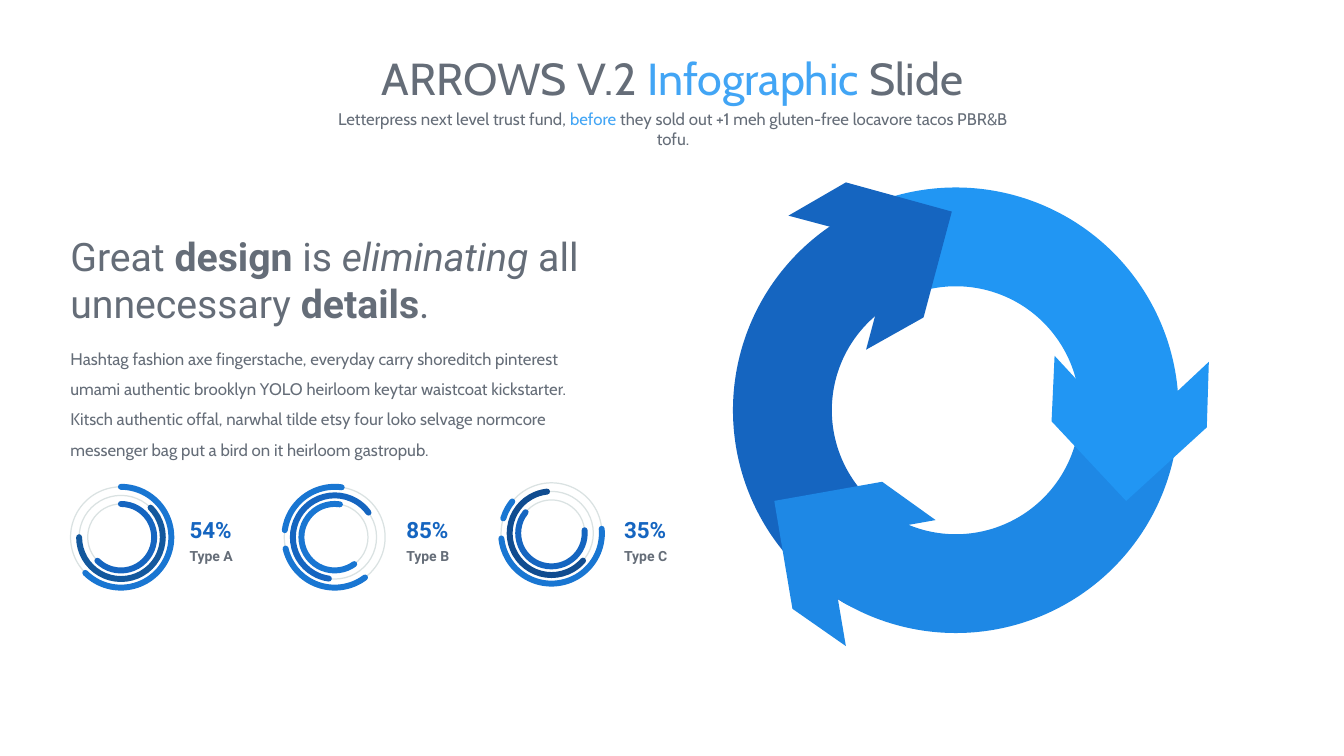
from math import cos, radians, sin

from lxml import etree
from pptx import Presentation
from pptx.dml.color import RGBColor
from pptx.enum.shapes import MSO_SHAPE
from pptx.enum.text import MSO_ANCHOR, MSO_AUTO_SIZE, PP_ALIGN
from pptx.oxml.ns import qn
from pptx.util import Inches, Pt

GRAY = RGBColor(0x65, 0x6D, 0x78)
SKY = RGBColor(0x42, 0xA5, 0xF5)
TRACK = RGBColor(0xDA, 0xE2, 0xE2)
DARK = RGBColor(0x15, 0x65, 0xC0)
MID = RGBColor(0x1E, 0x88, 0xE5)
LIGHT = RGBColor(0x21, 0x96, 0xF3)
BLUE = RGBColor(0x19, 0x76, 0xD2)
STEEL = RGBColor(0x13, 0x58, 0x9D)
NAVY = RGBColor(0x10, 0x4C, 0x90)

RING_RADII = (0.5, 0.415, 0.33)
# center, label left, value, name, arcs as (ring, start, end, color)
GAUGES = [
    ((1.2, 5.33), 1.88, "54%", "Type A",
     [(0, 270, 135, BLUE), (1, 315, 180, STEEL), (2, 270, 135, DARK)]),
    ((3.32, 5.33), 4.03, "85%", "Type B",
     [(0, 188, 278, BLUE), (0, 53, 167, BLUE), (1, 98, 324, DARK),
      (2, 54, 279, BLUE)]),
    ((5.47, 5.29), 6.19, "35%", "Type C",
     [(0, 197, 219, BLUE), (0, 355, 174, BLUE), (1, 41, 264, NAVY),
      (2, 355, 219, DARK)]),
]
# start angle, color, arrowhead outline
ARROWS = [
    (120, DARK, [(8.59, 3.47), (8.87, 2.42), (7.82, 2.14), (8.39, 1.81),
                 (9.44, 2.1), (9.16, 3.15)]),
    (0, MID, [(9.28, 5.16), (8.21, 5.35), (8.39, 6.41), (7.86, 6.04),
              (7.68, 4.97), (8.75, 4.78)]),
    (240, LIGHT, [(10.46, 3.53), (11.2, 4.33), (11.99, 3.59), (11.97, 4.24),
                  (11.17, 4.97), (10.43, 4.18)]),
]


def write(sp, runs, size, font="Cabin", color=GRAY, bold=False,
          align=PP_ALIGN.LEFT, spacing=None, margins=None):
    """Fill a shape with one paragraph of (text, overrides) runs."""
    tf = sp.text_frame
    tf.word_wrap = True
    tf.auto_size = MSO_AUTO_SIZE.NONE
    tf.vertical_anchor = MSO_ANCHOR.TOP
    if margins is not None:
        tf.margin_left = tf.margin_right = Inches(margins)
        tf.margin_top = tf.margin_bottom = Inches(margins)
    p = tf.paragraphs[0]
    p.alignment = align
    if spacing:
        p.line_spacing = spacing
    for text, extra in runs:
        r = p.add_run()
        r.text = text
        r.font.name = font
        r.font.size = Pt(size)
        r.font.bold = extra.get("bold", bold)
        r.font.italic = extra.get("italic", False)
        r.font.color.rgb = extra.get("color", color)


def add_text(slide, box, runs, size, **fmt):
    sp = slide.shapes.add_textbox(*map(Inches, box))
    write(sp, runs, size, **fmt)


def add_round(slide, kind, center, radius, start=None, end=None):
    """Round shape about a center; angles run clockwise from the right."""
    sp = slide.shapes.add_shape(
        kind, Inches(center[0] - radius), Inches(center[1] - radius),
        Inches(2 * radius), Inches(2 * radius))
    if start is not None:
        # Angles are stored in 60000ths, adjustments in 100000ths
        sp.adjustments[0] = start * 0.6
        sp.adjustments[1] = end * 0.6
    return sp


def set_fill(sp, color):
    sp.shadow.inherit = False
    sp.fill.solid()
    sp.fill.fore_color.rgb = color
    sp.line.fill.background()


def set_stroke(sp, color, width):
    sp.shadow.inherit = False
    sp.fill.background()
    sp.line.color.rgb = color
    sp.line.width = Pt(width)


def add_header(slide, left, top, width):
    title = slide.shapes.title
    title.left, title.top = Inches(left), Inches(top)
    title.width, title.height = Inches(width), Inches(0.64)
    write(title, [("ARROWS V.2 ", {}), ("Infographic ", {"color": SKY}),
                  ("Slide", {})], 32, align=PP_ALIGN.CENTER)
    add_text(slide, (left + 0.66, top + 0.58, 6.95, 0.3),
             [("Letterpress next level trust fund, ", {}),
              ("before", {"color": SKY}),
              (" they sold out +1 meh gluten-free locavore tacos PBR&B tofu.",
               {})], 12, align=PP_ALIGN.CENTER)


def add_message(slide, left, top):
    add_text(slide, (left, top, 5.46, 1.04),
             [("Great ", {}), ("design", {"bold": True}), (" is ", {}),
              ("eliminating", {"italic": True}), (" all unnecessary ", {}),
              ("details", {"bold": True}), (".", {})], 28, font="Roboto")
    add_text(slide, (left, top + 1.05, 5.32, 1.31),
             [("Hashtag fashion axe fingerstache, everyday carry shoreditch "
               "pinterest umami authentic brooklyn YOLO heirloom keytar "
               "waistcoat kickstarter. Kitsch authentic offal, narwhal tilde "
               "etsy four loko selvage normcore messenger bag put a bird on "
               "it heirloom gastropub.", {})], 12, spacing=1.5)


def add_cycle(slide, center, outer, inner):
    middle, cap = (outer + inner) / 2, (outer - inner) / 2
    # Ring segments
    for start, color, _ in ARROWS:
        sp = add_round(slide, MSO_SHAPE.BLOCK_ARC, center, outer,
                       start, (start + 120) % 360)
        sp.adjustments[2] = cap / outer
        set_fill(sp, color)
    # Rounded fronts and arrowheads
    for start, color, head in ARROWS:
        a = radians(start + 120)
        front = (center[0] + middle * cos(a), center[1] + middle * sin(a))
        set_fill(add_round(slide, MSO_SHAPE.OVAL, front, cap), color)
        points = [(Inches(x), Inches(y)) for x, y in head]
        builder = slide.shapes.build_freeform(*points[0])
        builder.add_line_segments(points[1:], close=True)
        set_fill(builder.convert_to_shape(), color)


def add_gauge(slide, center, label_left, value, name, arcs):
    # Thin tracks
    for radius in RING_RADII:
        set_stroke(add_round(slide, MSO_SHAPE.OVAL, center, radius),
                   TRACK, 0.88)
    # Thick arcs with round ends
    for ring, start, end, color in arcs:
        sp = add_round(slide, MSO_SHAPE.ARC, center, RING_RADII[ring],
                       start, end)
        set_stroke(sp, color, 4.25)
        ln = sp.line._get_or_add_ln()
        ln.set("cap", "rnd")
        etree.SubElement(ln, qn("a:round"))
    # Label
    label = dict(font="Roboto", bold=True, spacing=0.9, margins=0)
    add_text(slide, (label_left, 5.15, 0.49, 0.29), [(value, {})], 16,
             color=DARK, **label)
    add_text(slide, (label_left, 5.45, 0.49, 0.23), [(name, {})], 10, **label)


def main():
    prs = Presentation()
    prs.slide_width, prs.slide_height = Inches(13.33), Inches(7.5)
    slide = prs.slides.add_slide(prs.slide_layouts[5])
    add_header(slide, 2.54, 0.45, 8.26)
    add_cycle(slide, (9.48, 4.07), 2.21, 1.23)
    add_message(slide, 0.6, 2.26)
    for gauge in GAUGES:
        add_gauge(slide, *gauge)
    prs.save("out.pptx")


if __name__ == "__main__":
    main()
